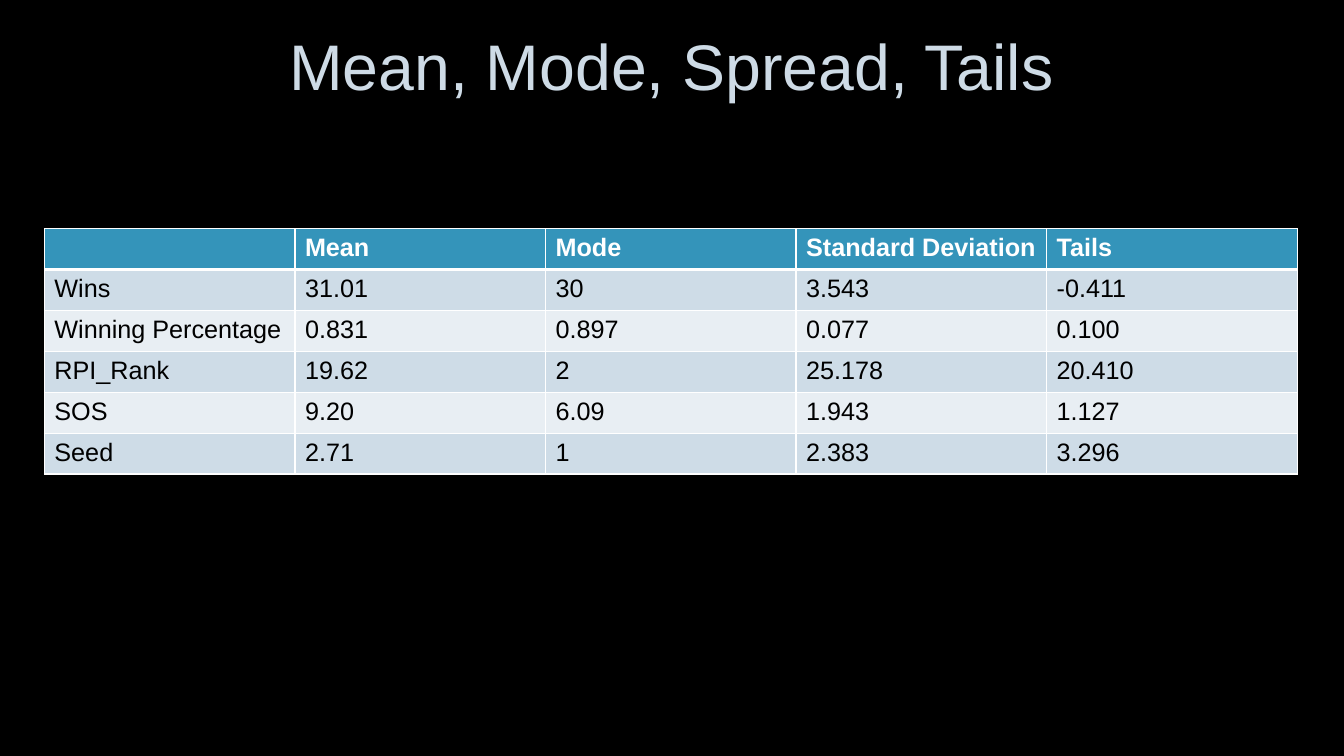
from lxml.etree import SubElement
from pptx import Presentation
from pptx.dml.color import RGBColor
from pptx.enum.text import MSO_ANCHOR, PP_ALIGN
from pptx.oxml import parse_xml
from pptx.oxml.ns import nsdecls, qn
from pptx.util import Pt

COLORS = {
    "background": "000000",
    "title": "CEDBE6",
    "title_outline": "404040",
    "header": "3494BA",
    "header_text": "FFFFFF",
    "band_dark": "CEDCE7",
    "band_light": "E8EEF3",
    "body_text": "000000",
    "border": "FFFFFF",
}

STATISTICS = [
    ["", "Mean", "Mode", "Standard Deviation", "Tails"],
    ["Wins", "31.01", "30", "3.543", "-0.411"],
    ["Winning Percentage", "0.831", "0.897", "0.077", "0.100"],
    ["RPI_Rank", "19.62", "2", "25.178", "20.410"],
    ["SOS", "9.20", "6.09", "1.943", "1.127"],
    ["Seed", "2.71", "1", "2.383", "3.296"],
]


def rgb(name):
    return RGBColor.from_string(COLORS[name])


class StatisticsSlide:
    font_name = "Arial"

    def __init__(self, presentation):
        self.slide = presentation.slides.add_slide(presentation.slide_layouts[6])
        backdrop = self.slide.background.fill
        backdrop.solid()
        backdrop.fore_color.rgb = rgb("background")

    def style_font(self, font, size, color, bold=False):
        font.name = self.font_name
        font.size = Pt(size)
        font.bold = bold
        font.color.rgb = rgb(color)

    def outline_text(self, run, color, width, opacity):
        """Give the letters a faint outline; opacity is in percent."""
        run.font._element.insert(0, parse_xml(
            f'<a:ln {nsdecls("a")} w="{Pt(width)}"><a:solidFill>'
            f'<a:srgbClr val="{COLORS[color]}"><a:alpha val="{opacity * 1000}"/>'
            '</a:srgbClr></a:solidFill></a:ln>'))

    def title(self, wording, left, top, width, height):
        frame = self.slide.shapes.add_textbox(
            Pt(left), Pt(top), Pt(width), Pt(height)).text_frame
        frame.word_wrap = True
        frame.vertical_anchor = MSO_ANCHOR.MIDDLE
        frame.text = wording
        heading = frame.paragraphs[0]
        heading.alignment = PP_ALIGN.CENTER
        heading.line_spacing = 0.9
        self.style_font(heading.runs[0].font, 46, "title")
        self.outline_text(heading.runs[0], "title_outline", 0.75, 10)

    def cell_borders(self, cell, top, bottom):
        """Draw all four borders; top and bottom are line widths."""
        properties = cell._tc.get_or_add_tcPr()
        for side, width in zip("LRTB", (1, 1, top, bottom)):
            line = SubElement(properties, qn(f"a:ln{side}"), w=str(Pt(width)))
            fill = SubElement(line, qn("a:solidFill"))
            SubElement(fill, qn("a:srgbClr"), val=COLORS["border"])

    def table(self, rows, left, top, column_width, row_height):
        grid = self.slide.shapes.add_table(
            len(rows), len(rows[0]), Pt(left), Pt(top),
            Pt(column_width * len(rows[0])), Pt(row_height * len(rows))).table
        for column in grid.columns:
            column.width = Pt(column_width)
        for index, values in enumerate(rows):
            grid.rows[index].height = Pt(row_height)
            is_header = index == 0
            band = "band_dark" if index % 2 else "band_light"
            for position, value in enumerate(values):
                cell = grid.cell(index, position)
                self.cell_borders(cell, top=3 if index == 1 else 1,
                                  bottom=3 if is_header else 1)
                cell.fill.solid()
                cell.fill.fore_color.rgb = rgb("header" if is_header else band)
                cell.text_frame.text = value
                self.style_font(cell.text_frame.paragraphs[0].font, 18,
                                "header_text" if is_header else "body_text",
                                bold=is_header)


def main():
    presentation = Presentation()
    presentation.slide_width = Pt(960)
    presentation.slide_height = Pt(540)
    summary = StatisticsSlide(presentation)
    summary.title("Mean, Mode, Spread, Tails", 72, 0, 815, 99.4)
    summary.table(STATISTICS, 31.7, 163.4, 179, 29.2)
    presentation.save("out.pptx")


if __name__ == "__main__":
    main()
